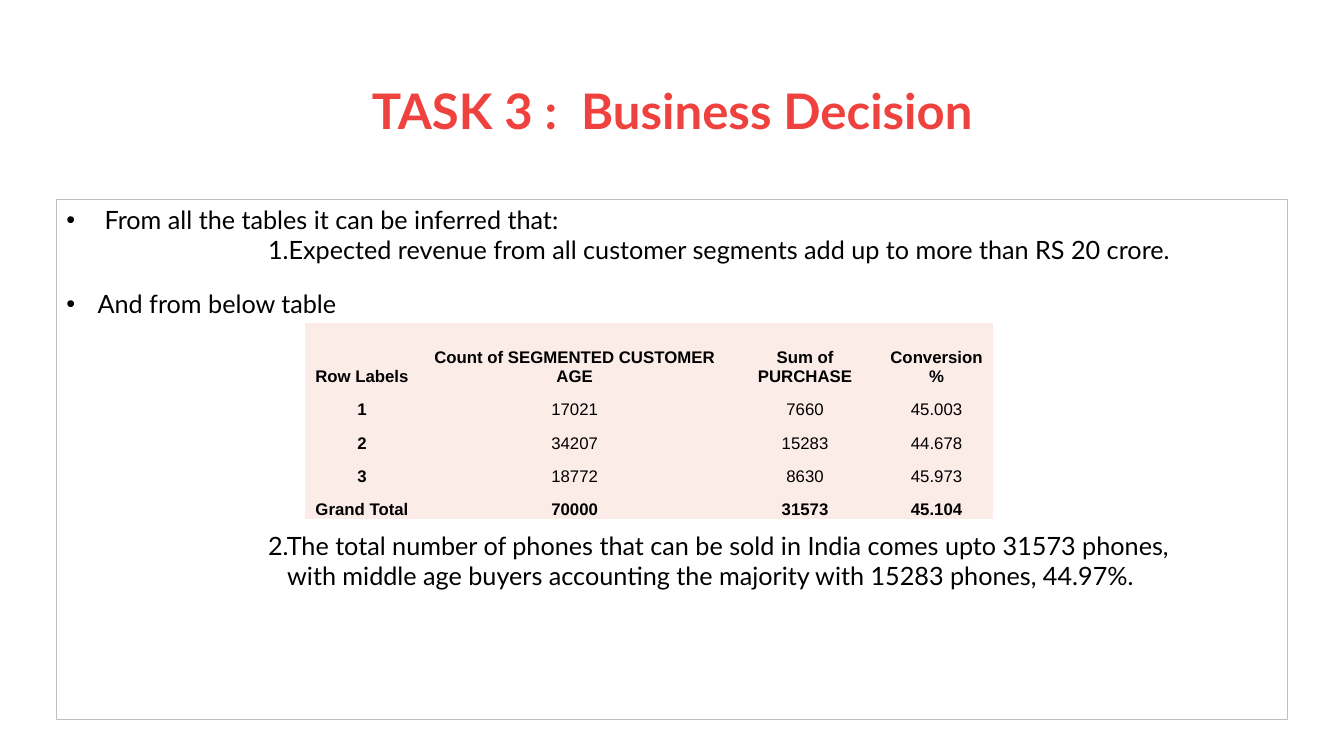
from dataclasses import dataclass

from lxml.etree import SubElement as Sub
from pptx import Presentation
from pptx.dml.color import RGBColor as Rgb
from pptx.enum.shapes import MSO_SHAPE as Shape
from pptx.enum.text import MSO_ANCHOR as Anchor, PP_ALIGN as Align
from pptx.oxml.ns import qn
from pptx.slide import Slide
from pptx.util import Inches, Pt


@dataclass(frozen=True)
class Theme:
    red: Rgb = Rgb.from_string("EF413D")
    ink: Rgb = Rgb.from_string("000000")
    edge: Rgb = Rgb.from_string("BFBFBF")
    tint: Rgb = Rgb.from_string("FCECE8")
    text: str = "Lato"
    data: str = "Arial"
    head: int = 35
    body: int = 18
    cell: int = 12


@dataclass(frozen=True)
class Point:
    text: str
    left: float
    hang: float = 0
    gap: float = 0
    dot: bool = False


THEME = Theme()
PLAIN = "{2D5ABB26-0587-4C30-8999-92F81FD0307C}"
TITLE = "TASK 3 :  Business Decision"
POINTS = [
    Point("From all the tables it can be inferred that:", 0.38, 0.38, dot=True),
    Point("1.Expected revenue from all customer segments add up to more than RS 20 crore.", 2),
    Point("And from below table", 0.31, 0.31, 16.8, True),
    Point("2.The total number of phones that can be sold in India comes upto 31573 phones,\v"
          "with middle age buyers accounting the majority with 15283 phones, 44.97%.",
          2.19, 0.19, 151.2),
]
WIDTHS = [1.14, 3.08, 1.49, 1.12]
HEIGHTS = [0.63] + [0.33] * 4
ROWS = [
    ["Row Labels", "Count of SEGMENTED CUSTOMER AGE", "Sum of PURCHASE", "Conversion %"],
    ["1", "17021", "7660", "45.003"],
    ["2", "34207", "15283", "44.678"],
    ["3", "18772", "8630", "45.973"],
    ["Grand Total", "70000", "31573", "45.104"],
]


def style(para, name: str, size: int, tone: Rgb, bold: bool = False) -> None:
    """Set the font of a paragraph."""
    font = para.font
    font.name, font.size, font.bold = name, Pt(size), bold
    font.color.rgb = tone


def add_title(slide: Slide) -> None:
    """Draw the centred heading."""
    frame = slide.shapes.add_textbox(
        Inches(0.92), Inches(0.4), Inches(11.5), Inches(1.45)).text_frame
    frame.word_wrap = True
    frame.vertical_anchor = Anchor.MIDDLE
    para = frame.paragraphs[0]
    para.text = TITLE
    para.alignment, para.line_spacing = Align.CENTER, 0.9
    style(para, THEME.text, THEME.head, THEME.red, True)


def add_point(para, point: Point) -> None:
    """Write one point with its indent and bullet."""
    para.text = point.text
    para.alignment = Align.LEFT
    para.space_before = Pt(point.gap)
    style(para, THEME.text, THEME.body, THEME.ink)
    props = para._p.get_or_add_pPr()
    props.set("marL", str(Inches(point.left)))
    props.set("indent", str(-Inches(point.hang)))
    if point.dot:
        mark = Sub(props, qn("a:buFont"))
        mark.set("typeface", THEME.data)
        Sub(props, qn("a:buChar")).set("char", "•")
        props.append(props.find(qn("a:defRPr")))


def add_body(slide: Slide) -> None:
    """Draw the outlined box and its points."""
    box = slide.shapes.add_shape(
        Shape.RECTANGLE, Inches(0.56), Inches(1.98), Inches(12.21), Inches(5.16))
    box.shadow.inherit = False
    box.fill.background()
    box.line.color.rgb = THEME.edge
    box.line.width = Pt(0.75)
    frame = box.text_frame
    frame.word_wrap = True
    frame.vertical_anchor = Anchor.TOP
    for i, point in enumerate(POINTS):
        add_point(frame.add_paragraph() if i else frame.paragraphs[0], point)


def add_grid(slide: Slide) -> None:
    """Draw the conversion table."""
    grid = slide.shapes.add_table(
        len(ROWS), len(WIDTHS), Inches(3.02), Inches(3.2),
        Inches(sum(WIDTHS)), Inches(sum(HEIGHTS))).table
    grid._tbl.tblPr.find(qn("a:tableStyleId")).text = PLAIN
    grid.horz_banding = False
    for col, width in zip(grid.columns, WIDTHS):
        col.width = Inches(width)
    for r, (row, high) in enumerate(zip(ROWS, HEIGHTS)):
        grid.rows[r].height = Inches(high)
        for c, text in enumerate(row):
            cell = grid.cell(r, c)
            cell.fill.solid()
            cell.fill.fore_color.rgb = THEME.tint
            cell.vertical_anchor = Anchor.BOTTOM
            cell.margin_left = cell.margin_right = cell.margin_top = Inches(0.01)
            cell.margin_bottom = 0
            para = cell.text_frame.paragraphs[0]
            para.text, para.alignment = text, Align.CENTER
            bold = c == 0 or r in (0, len(ROWS) - 1)
            style(para, THEME.data, THEME.cell, THEME.ink, bold)


def main() -> None:
    """Build and save the slide."""
    deck = Presentation()
    deck.slide_width, deck.slide_height = Inches(13.33), Inches(7.5)
    slide = deck.slides.add_slide(deck.slide_layouts[6])
    add_title(slide)
    add_body(slide)
    add_grid(slide)
    deck.save("out.pptx")


if __name__ == "__main__":
    main()
